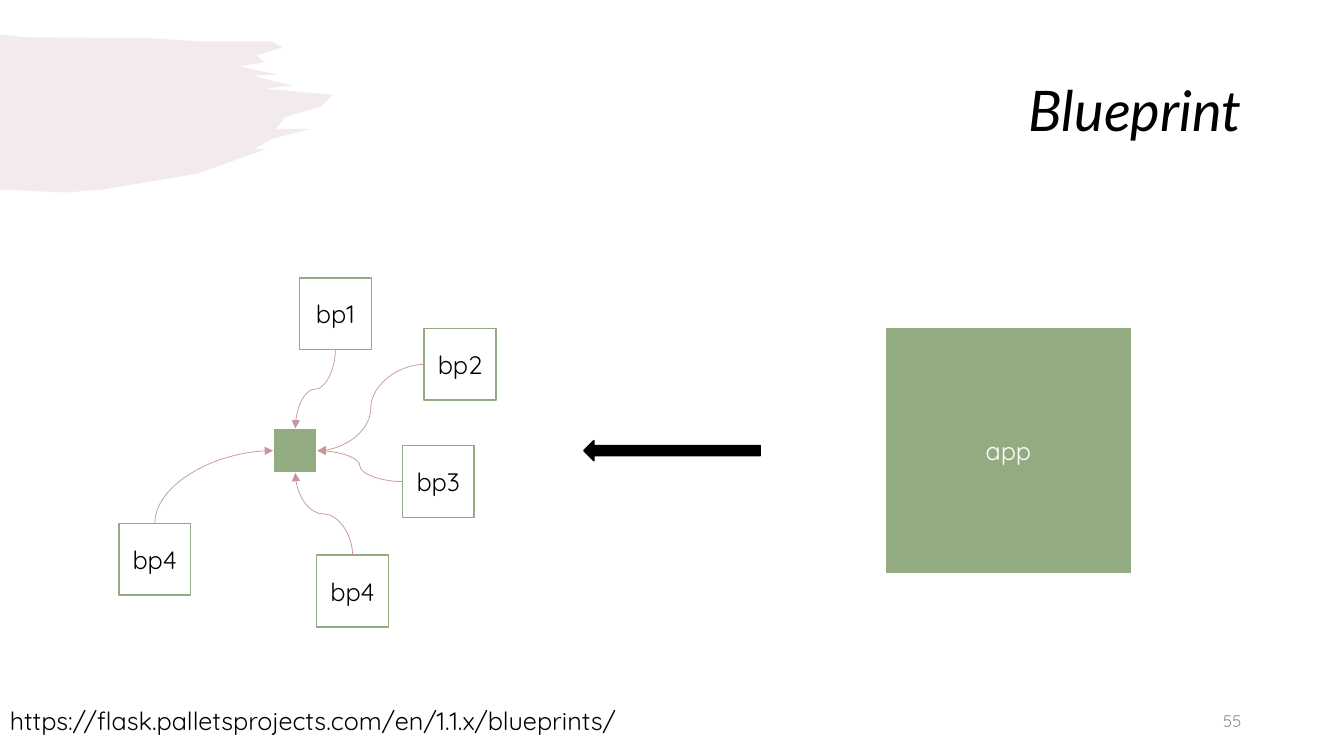
import pptx
import pptx.dml.color
import pptx.enum.shapes
import pptx.enum.text
import pptx.oxml.ns
import pptx.util
from lxml import etree

COLORS = {"green": "93AB81", "rose": "C6969B", "white": "FFFFFF",
          "black": "000000", "gray": "8C8C8C"}
COLS = 32
CELL = pptx.util.Inches(40 / 3) / COLS
ALIGN = pptx.enum.text.PP_ALIGN
SHAPE = pptx.enum.shapes.MSO_SHAPE
TOP, LEFT, BOTTOM, RIGHT = range(4)
BP_SIZE = 1.71

# label, column, row, side of the box, side of the core, rotation, flips
BLUEPRINTS = [
    ("bp1", 7.13, 6.62, BOTTOM, TOP, 90, ""),
    ("bp2", 10.1, 7.82, LEFT, RIGHT, 180, "V"),
    ("bp3", 9.58, 10.61, LEFT, RIGHT, 180, ""),
    ("bp4", 7.54, 13.22, TOP, BOTTOM, 270, "V"),
    ("bp4", 2.83, 12.46, TOP, LEFT, 90, "HV"),
]

# Brush outline in hundredths of an inch
BRUSH = [
    (0, 34), (25, 37), (151, 38), (194, 41), (270, 41), (280, 47), (255, 55),
    (262, 62), (238, 66), (275, 74), (251, 75), (290, 85), (263, 88),
    (330, 94), (318, 106), (283, 116), (274, 128), (308, 128), (269, 138),
    (252, 148), (263, 148), (197, 172), (102, 188), (65, 191), (0, 188),
]


def qn(tag):
    return pptx.oxml.ns.qn("a:" + tag)


def rgb(name):
    return pptx.dml.color.RGBColor.from_string(COLORS[name])


def cells(*values):
    return [round(v * CELL) for v in values]


def paint(sp, color):
    sp.shadow.inherit = False
    sp.fill.solid()
    sp.fill.fore_color.rgb = rgb(color)


def write(sp, text, color, size=18, font="Quicksand", align=ALIGN.CENTER):
    tf = sp.text_frame
    tf.text = text
    tf.vertical_anchor = pptx.enum.text.MSO_ANCHOR.MIDDLE
    p = tf.paragraphs[0]
    p.alignment = align
    r = p.runs[0]
    r.font.size = pptx.util.Pt(size)
    r.font.name = font
    r.font.color.rgb = rgb(color)
    return p


def add_title(s, text):
    sp = s.shapes.title
    sp.left, sp.top, sp.width, sp.height = cells(2.2, 0.96, 27.6, 3.48)
    p = write(sp, text, "black", 40, "Lato", ALIGN.RIGHT)
    p.line_spacing = 0.9
    p.runs[0].font.italic = True


def add_text(s, frame, text, color, size, align, wrap=True):
    sp = s.shapes.add_textbox(*cells(*frame))
    sp.text_frame.word_wrap = wrap
    write(sp, text, color, size, align=align)


def add_block(s, frame, fill, line, width, kind=SHAPE.RECTANGLE):
    sp = s.shapes.add_shape(kind, *cells(*frame))
    paint(sp, fill)
    sp.line.color.rgb = rgb(line)
    sp.line.width = pptx.util.Pt(width)
    return sp


def add_link(s, box, box_side, core, core_side, rotation, flips):
    """Curved arrow from box to core; its frame is turned by rotation."""
    cxn = s.shapes.add_connector(pptx.enum.shapes.MSO_CONNECTOR.CURVE, 0, 0, 0, 0)
    cxn.begin_connect(box, box_side)
    cxn.end_connect(core, core_side)
    if rotation % 180:
        mid_x, mid_y = cxn.left + cxn.width // 2, cxn.top + cxn.height // 2
        cxn.width, cxn.height = cxn.height, cxn.width
        cxn.left, cxn.top = mid_x - cxn.width // 2, mid_y - cxn.height // 2
    cxn.line.color.rgb = rgb("rose")
    cxn.line.width = pptx.util.Pt(0.5)

    sp_pr = cxn._element.spPr
    xfrm = sp_pr.find(qn("xfrm"))
    xfrm.set("rot", str(rotation * 60000))
    for axis in "HV":
        xfrm.set("flip" + axis, str(int(axis in flips)))
    if box_side % 2 != core_side % 2:
        sp_pr.find(qn("prstGeom")).set("prst", "curvedConnector2")
    etree.SubElement(sp_pr.find(qn("ln")), qn("tailEnd"), type="triangle")
    etree.SubElement(sp_pr, qn("effectLst"))


def add_brush(s):
    builder = s.shapes.build_freeform(*BRUSH[0], scale=pptx.util.Inches(0.01))
    builder.add_line_segments(BRUSH[1:], close=True)
    sp = builder.convert_to_shape()
    paint(sp, "rose")
    sp.line.fill.background()
    color = sp._element.spPr.find(qn("solidFill")).find(qn("srgbClr"))
    etree.SubElement(color, qn("alpha"), val="20000")


def main():
    prs = pptx.Presentation()
    prs.slide_width = round(COLS * CELL)
    prs.slide_height = pptx.util.Inches(7.5)
    s = prs.slides.add_slide(prs.slide_layouts[5])

    add_brush(s)
    add_title(s, "Blueprint")
    add_text(s, (22.6, 16.68, 7.2, 0.96), "55", "gray", 12, ALIGN.RIGHT)
    add_text(s, (0, 16.68, 15.77, 0.96),
             "https://flask.palletsprojects.com/en/1.1.x/blueprints/",
             "black", 18, ALIGN.LEFT, wrap=False)

    core = add_block(s, (6.5, 10.2, 1.06, 1.06), "green", "white", 1.5)
    for label, col, row, box_side, core_side, rotation, flips in BLUEPRINTS:
        box = add_block(s, (col, row, BP_SIZE, BP_SIZE), "white", "green", 1)
        write(box, label, "black")
        add_link(s, box, box_side, core, core_side, rotation, flips)

    app = add_block(s, (21.07, 7.78, 5.88, 5.88), "green", "white", 1.5)
    write(app, "app", "white")
    arrow = add_block(s, (13.9, 10.49, 4.2, 0.48), "black", "black", 1,
                      SHAPE.RIGHT_ARROW)
    arrow.rotation = 180
    prs.save("out.pptx")


if __name__ == "__main__":
    main()
